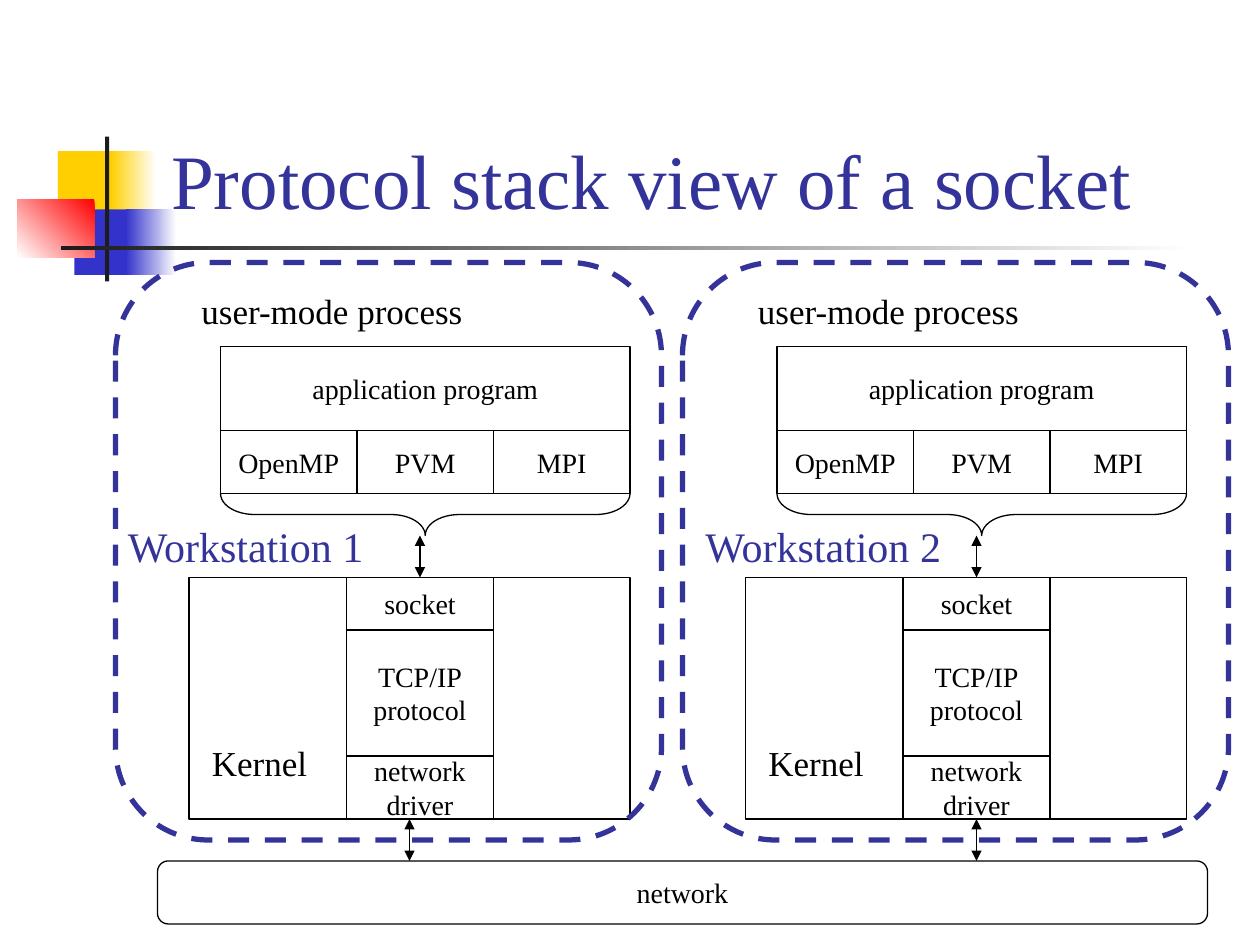
from dataclasses import dataclass
from typing import Optional

from lxml.etree import SubElement
from pptx import Presentation
from pptx.dml.color import RGBColor
from pptx.enum.dml import MSO_LINE
from pptx.enum.shapes import MSO_CONNECTOR, MSO_SHAPE as Preset
from pptx.enum.text import MSO_ANCHOR as Anchor, MSO_AUTO_SIZE as AutoSize, PP_ALIGN as Align
from pptx.oxml.ns import qn
from pptx.util import Inches, Pt

# The slide is a grid of 120 columns by 90 rows, twelve to the inch
COLUMNS, ROWS, PER_INCH = 120, 90, 12
FONT = "Times New Roman"
COLORS = {
    "ink": "000000", "accent": "333399", "white": "FFFFFF", "yellow": "FFCF01",
    "blue": "3333CC", "red": "FF0000", "charcoal": "1C1C1C",
}


@dataclass(frozen=True)
class Cell:
    """A box in grid columns and rows."""
    col: float
    row: float
    cols: float
    rows: float
    text: str = ""
    size: int = 16
    color: str = "ink"


@dataclass(frozen=True)
class Swatch:
    """A filled decoration; with a second colour it is a gradient."""
    cell: Cell
    color: str
    end: Optional[str] = None
    angle: int = 180


@dataclass(frozen=True)
class Workstation:
    label: str
    shift: int        # columns to the right of the first stack
    frame_col: int
    label_col: int
    link_col: int     # arrow down to the network


SWATCHES = [
    Swatch(Cell(5.52, 14.4, 5.76, 6.24), "yellow"),
    Swatch(Cell(10.56, 14.4, 4.32, 6.24), "white", "yellow"),
    Swatch(Cell(7.08, 19.95, 5.52, 6.24), "blue"),
    Swatch(Cell(12, 19.95, 4.8, 6.24), "white", "blue"),
    Swatch(Cell(1.68, 19, 7.32, 5.52), "red", "white", 225),
    Swatch(Cell(10, 13, 0.4, 13.8), "charcoal"),
    Swatch(Cell(5.8, 23.4, 108, 0.4), "white", "charcoal"),
]
LIBRARIES = ["OpenMP", "PVM", "MPI"]
STACK = [
    *(Cell(21 + 13 * i, 41, 13, 6, name) for i, name in enumerate(LIBRARIES)),
    Cell(21, 33, 39, 8, "application program"),
    Cell(18, 55, 42, 23),
    Cell(33, 55, 14, 5, "socket"),
    Cell(33, 60, 14, 12, "TCP/IP\nprotocol"),
    Cell(33, 72, 14, 6, "network\ndriver"),
]
CAPTIONS = [
    Cell(18, 27, 28, 5.25, "user-mode process", 20),
    Cell(19, 70, 12, 5.25, "Kernel", 20),
]
WORKSTATIONS = [
    Workstation("Workstation 1", 0, 11, 11, 39),
    Workstation("Workstation 2", 53, 65, 66, 93),
]


def grid(units: float) -> int:
    return Inches(units / PER_INCH)


def area(cell: Cell, shift: float = 0) -> tuple:
    return tuple(map(grid, (cell.col + shift, cell.row, cell.cols, cell.rows)))


def rgb(name: str) -> RGBColor:
    return RGBColor.from_string(COLORS[name])


def write(frame, cell: Cell, align: Align, **layout) -> None:
    """Put the cell's text in the frame; layout holds text frame settings."""
    frame.text = cell.text
    for setting, value in layout.items():
        setattr(frame, setting, value)
    for paragraph in frame.paragraphs:
        paragraph.alignment = align
        for setting, value in {"name": FONT, "size": Pt(cell.size)}.items():
            setattr(paragraph.font, setting, value)
        paragraph.font.color.rgb = rgb(cell.color)


def add_caption(shapes, cell: Cell, shift: float = 0) -> None:
    write(shapes.add_textbox(*area(cell, shift)).text_frame, cell, Align.LEFT,
          word_wrap=False, auto_size=AutoSize.NONE)


def add_outline(shapes, cell: Cell, shift: float = 0, preset=Preset.RECTANGLE,
                width: float = 0.75, corner: Optional[float] = None):
    """Draw an unfilled shape with centred text."""
    shape = shapes.add_shape(preset, *area(cell, shift))
    shape.shadow.inherit = False
    shape.fill.background()
    shape.line.color.rgb = rgb(cell.color)
    shape.line.width = Pt(width)
    if corner is not None:
        shape.adjustments[0] = corner
    if cell.text:
        write(shape.text_frame, cell, Align.CENTER,
              word_wrap=False, vertical_anchor=Anchor.MIDDLE)
    return shape


def add_swatch(shapes, swatch: Swatch) -> None:
    shape = shapes.add_shape(Preset.RECTANGLE, *area(swatch.cell))
    shape.shadow.inherit = False
    shape.line.fill.background()
    if swatch.end is None:
        shape.fill.solid()
        shape.fill.fore_color.rgb = rgb(swatch.color)
        return
    shape.fill.gradient()
    shape.fill.gradient_angle = swatch.angle
    for stop, color in zip(shape.fill.gradient_stops, (swatch.color, swatch.end)):
        stop.color.rgb = rgb(color)


def add_link(shapes, col: float, top: float, bottom: float) -> None:
    """Draw a vertical arrow with a head at both ends."""
    link = shapes.add_connector(MSO_CONNECTOR.STRAIGHT, *map(grid, (col, top, col, bottom)))
    link.line.color.rgb = rgb("ink")
    link.line.width = Pt(0.75)
    for end in ("a:headEnd", "a:tailEnd"):
        SubElement(link.line._get_or_add_ln(), qn(end), type="triangle")
    SubElement(link._element.spPr, qn("a:effectLst"))


def add_stack(shapes, station: Workstation) -> None:
    for layer in STACK:
        add_outline(shapes, layer, station.shift)
    for caption in CAPTIONS:
        add_caption(shapes, caption, station.shift)
    # The brace is laid on its side, its tip pointing down at the socket
    brace = add_outline(shapes, Cell(38.5, 29.5, 4, 39), station.shift,
                        Preset.LEFT_BRACE, corner=0.81)
    brace.rotation = 270
    add_link(shapes, 40 + station.shift, 51, 55)


def add_frame(shapes, station: Workstation) -> None:
    frame = add_outline(shapes, Cell(station.frame_col, 25, 52, 55, color="accent"),
                        preset=Preset.ROUNDED_RECTANGLE, width=3, corner=0.17)
    frame.line.dash_style = MSO_LINE.DASH
    add_caption(shapes, Cell(station.label_col, 49, 25.2, 6, station.label, 24, "accent"))


def main() -> None:
    prs = Presentation()
    prs.slide_width, prs.slide_height = grid(COLUMNS), grid(ROWS)
    shapes = prs.slides.add_slide(prs.slide_layouts[5]).shapes

    # Title and its decoration
    heading = Cell(15.1, 2.85, 102.24, 19.2, "Protocol stack view of a socket", 44, "accent")
    title = shapes.title
    for side, length in zip(("left", "top", "width", "height"), area(heading)):
        setattr(title, side, length)
    write(title.text_frame, heading, Align.LEFT,
          vertical_anchor=Anchor.BOTTOM, auto_size=AutoSize.NONE)
    for swatch in SWATCHES:
        add_swatch(shapes, swatch)

    # Protocol stacks
    for station in WORKSTATIONS:
        add_stack(shapes, station)

    # Shared network
    add_outline(shapes, Cell(15, 82, 100, 6, "network"),
                preset=Preset.ROUNDED_RECTANGLE, corner=0.17)
    for station in WORKSTATIONS:
        add_link(shapes, station.link_col, 78, 82)

    # Workstation frames
    for station in WORKSTATIONS:
        add_frame(shapes, station)

    prs.save("out.pptx")


if __name__ == "__main__":
    main()
